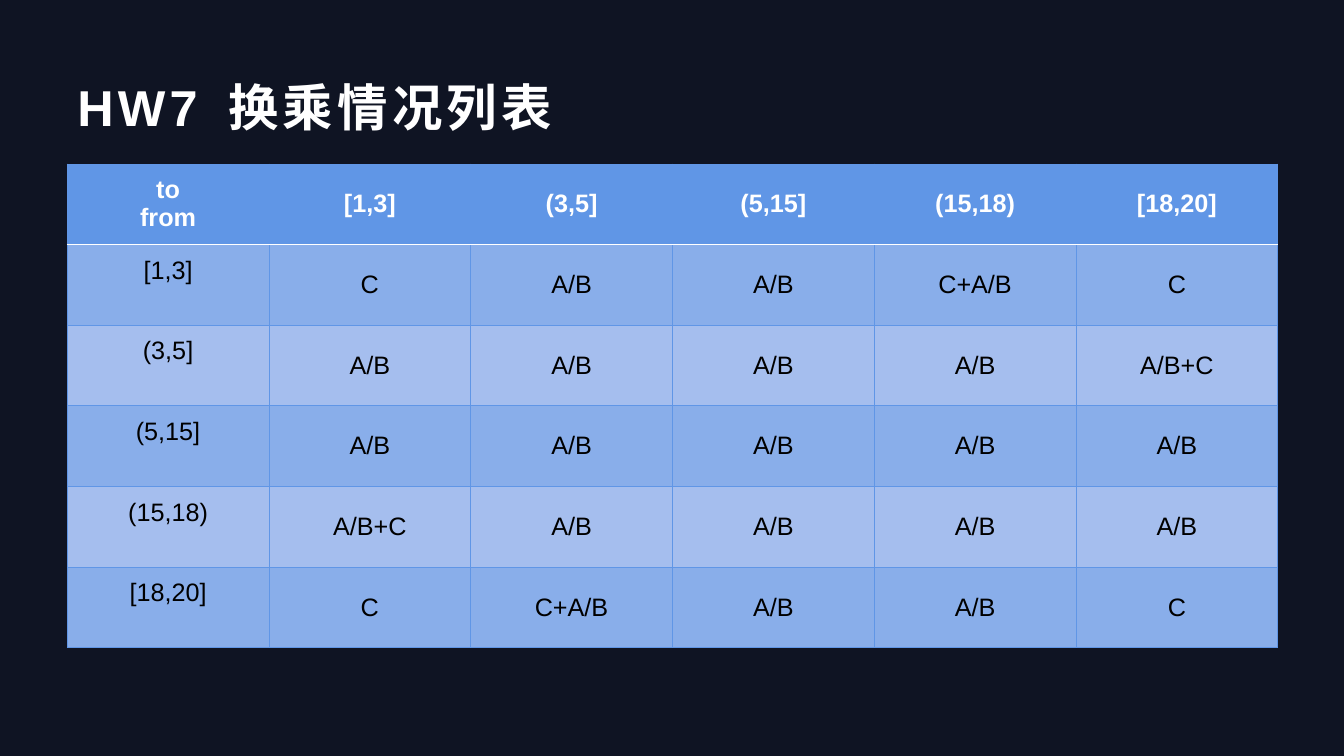
from dataclasses import dataclass

from lxml import etree
from pptx import Presentation
from pptx.dml.color import RGBColor
from pptx.enum.lang import MSO_LANGUAGE_ID as Language
from pptx.enum.text import MSO_ANCHOR as Anchor, MSO_AUTO_SIZE as AutoSize, PP_ALIGN as Align
from pptx.oxml.ns import qn
from pptx.util import Emu, Pt

PX = 9525
SLIDE_SIZE = (1280, 720)
TITLE_BOX = (64, 64, 1152, 74)
TABLE_BOX = (64, 156, 1153, 461)
TITLE_ONLY = 5

RANGES = ["[1,3]", "(3,5]", "(5,15]", "(15,18)", "[18,20]"]
TRANSFERS = [
    ["C", "A/B", "A/B", "C+A/B", "C"],
    ["A/B", "A/B", "A/B", "A/B", "A/B+C"],
    ["A/B", "A/B", "A/B", "A/B", "A/B"],
    ["A/B+C", "A/B", "A/B", "A/B", "A/B"],
    ["C", "C+A/B", "A/B", "A/B", "C"],
]


@dataclass(frozen=True)
class Theme:
    """Colours, type sizes and line widths of the slide."""
    font: str = "Arial"
    background: str = "0F1423"
    accent: str = "6096E6"
    dark_band: str = "89AEEA"
    light_band: str = "A5BEEE"
    white: str = "FFFFFF"
    black: str = "000000"
    title_size: int = 36
    table_size: int = 18
    title_spacing: int = 3
    thin: float = 0.5
    thick: float = 1


THEME = Theme()


def scale(box):
    """Turn px lengths into EMU."""
    return [Emu(length * PX) for length in box]


def add_run(paragraph, text, size, color, bold):
    """Add one formatted run to a paragraph."""
    run = paragraph.add_run()
    run.text = text
    run.font.name = THEME.font
    run.font.size = Pt(size)
    run.font.bold = bold
    run.font.color.rgb = RGBColor.from_string(color)
    return run


def place_title(slide, box):
    """Move the title placeholder into its box and fill it."""
    title = slide.shapes.title
    title.left, title.top, title.width, title.height = scale(box)
    frame = title.text_frame
    frame.word_wrap = True
    frame.auto_size = AutoSize.NONE
    frame.vertical_anchor = Anchor.MIDDLE
    paragraph = frame.paragraphs[0]
    paragraph.alignment = Align.LEFT
    run = add_run(paragraph, "HW7\t换乘情况列表", THEME.title_size, THEME.white, True)
    run.font.language_id = Language.SIMPLIFIED_CHINESE
    run.font._element.set("spc", str(THEME.title_spacing * 100))


def set_borders(cell, borders):
    """Draw the given sides of a cell as solid lines."""
    properties = cell._tc.get_or_add_tcPr()
    for side, (color, width) in borders.items():
        line = etree.SubElement(properties, qn(f"a:ln{side}"), w=str(Pt(width)))
        fill = etree.SubElement(line, qn("a:solidFill"))
        etree.SubElement(fill, qn("a:srgbClr"), val=color)


def format_cell(cell, row, column, lines):
    """Write the lines of a cell and style it by its place in the table."""
    header = row == 0
    borders = dict.fromkeys("LRTB", (THEME.accent, THEME.thin))
    if row < 2:
        borders["B" if header else "T"] = (THEME.white, THEME.thick)
    set_borders(cell, borders)
    band = THEME.dark_band if row % 2 else THEME.light_band
    cell.fill.solid()
    cell.fill.fore_color.rgb = RGBColor.from_string(THEME.accent if header else band)
    cell.vertical_anchor = Anchor.MIDDLE
    if column == 0 and not header:
        cell.margin_bottom = Emu(32 * PX)
    frame = cell.text_frame
    for index, text in enumerate(lines):
        paragraph = frame.add_paragraph() if index else frame.paragraphs[0]
        paragraph.alignment = Align.CENTER
        add_run(paragraph, text, THEME.table_size, THEME.white if header else THEME.black, header)


def add_transfer_table(slide, box):
    """Add the table of transfers between ranges."""
    rows = [["to\nfrom", *RANGES]]
    rows += [[label, *transfers] for label, transfers in zip(RANGES, TRANSFERS)]
    left, top, width, height = scale(box)
    table = slide.shapes.add_table(len(rows), len(rows[0]), left, top, width, height).table
    for column in table.columns:
        column.width = Emu(width // len(rows[0]))
    for row in table.rows:
        row.height = Emu(height // len(rows))
    for row_index, values in enumerate(rows):
        for column_index, value in enumerate(values):
            cell = table.cell(row_index, column_index)
            format_cell(cell, row_index, column_index, value.split("\n"))


def build_slide(presentation):
    """Build the transfer list slide."""
    slide = presentation.slides.add_slide(presentation.slide_layouts[TITLE_ONLY])
    background = slide.background.fill
    background.solid()
    background.fore_color.rgb = RGBColor.from_string(THEME.background)
    place_title(slide, TITLE_BOX)
    add_transfer_table(slide, TABLE_BOX)


def main():
    """Create and save the presentation."""
    presentation = Presentation()
    presentation.slide_width, presentation.slide_height = scale(SLIDE_SIZE)
    build_slide(presentation)
    presentation.save("out.pptx")


if __name__ == "__main__":
    main()
